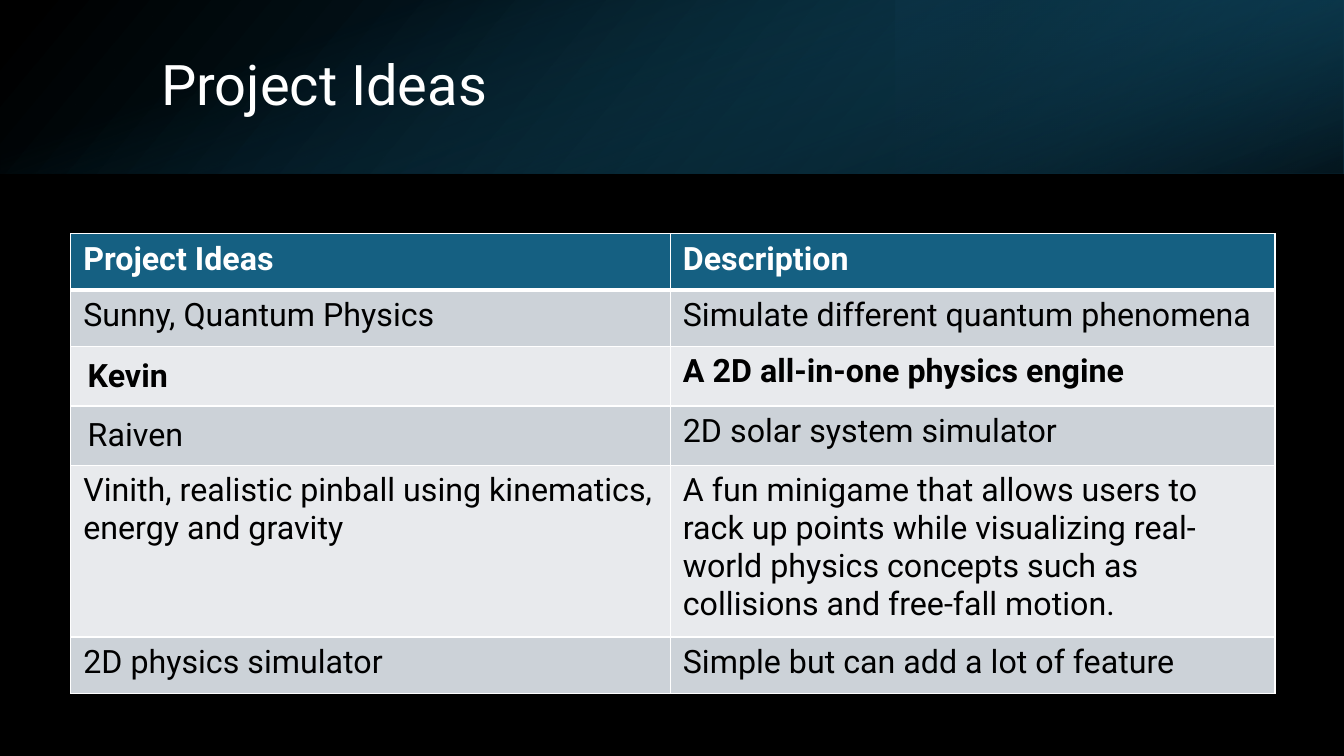
from lxml.etree import SubElement
from pptx import Presentation
from pptx.dml.color import RGBColor
from pptx.enum.shapes import MSO_SHAPE
from pptx.enum.text import MSO_ANCHOR, PP_ALIGN
from pptx.oxml import parse_xml
from pptx.oxml.ns import nsdecls, qn
from pptx.util import Cm, Pt

COLORS = {
    "black": "000000", "white": "FFFFFF", "header": "156082",
    "odd": "CCD2D8", "even": "E8EAED", "teal": "104862", "deep": "0B3041",
}
FONT = "Roboto"
W, H, BAND_H = 33.87, 19.05, 4.37

# left, top, width, height (cm), rotation, flipped, angle, stops (position %, colour, opacity %)
BANDS = [
    (0, 0, W, BAND_H, 0, True, 140, [(0, "black", 96), (100, "teal", 100)]),
    (W * 2 / 3, 0, W / 3, BAND_H, 180, True, 320, [(19, "deep", 68), (100, "header", 79)]),
    ((W - BAND_H) / 2, (BAND_H - W) / 2, BAND_H, W, 90, False, 340,
     [(23, "header", 0), (99, "black", 74)]),
]

TITLE = "Project Ideas"
ROWS = [
    ("Project Ideas", "Description"),
    ("Sunny, Quantum Physics", "Simulate different quantum phenomena"),
    ("Kevin", "A 2D all-in-one physics engine"),
    ("Raiven", "2D solar system simulator"),
    ("Vinith, realistic pinball using kinematics, energy and gravity",
     "A fun minigame that allows users to rack up points while visualizing "
     "real-world physics concepts such as collisions and free-fall motion."),
    ("2D physics simulator", "Simple but can add a lot of feature"),
]
COL_W = [15.11, 15.24]
ROW_H = [1.42, 1.42, 1.5, 1.5, 4.32, 1.42]
BOLD_ROWS = {0, 2}
CENTRED_CELLS = {(2, 0), (3, 0)}


def rgb(name):
    return RGBColor.from_string(COLORS[name])


def set_font(p, size, color, bold=False):
    p.font.name, p.font.size, p.font.bold = FONT, Pt(size), bold
    p.font.color.rgb = rgb(color)


def add_band(s, left, top, width, height, rotation, flipped, angle, stops):
    band = s.shapes.add_shape(MSO_SHAPE.RECTANGLE, Cm(left), Cm(top), Cm(width), Cm(height))
    band.shadow.inherit = False
    band.line.fill.background()
    band.rotation = rotation
    sp_pr = band.element.spPr
    if flipped:
        sp_pr.find(qn("a:xfrm")).set("flipH", "1")
    stop_xml = "".join(
        f'<a:gs pos="{pos * 1000}"><a:srgbClr val="{COLORS[color]}">'
        f'<a:alpha val="{opacity * 1000}"/></a:srgbClr></a:gs>'
        for pos, color, opacity in stops)
    sp_pr.find(qn("a:prstGeom")).addnext(parse_xml(
        f'<a:gradFill {nsdecls("a")} rotWithShape="1"><a:gsLst>{stop_xml}</a:gsLst>'
        f'<a:lin ang="{angle * 60000}" scaled="0"/></a:gradFill>'))


def add_borders(cell, widths):
    """Draw white borders; widths gives points for each side (L, R, T, B)."""
    tc_pr = cell._tc.get_or_add_tcPr()
    for side, width in zip("LRTB", widths):
        ln = SubElement(tc_pr, qn(f"a:ln{side}"), w=str(Pt(width)))
        fill = SubElement(ln, qn("a:solidFill"))
        SubElement(fill, qn("a:srgbClr"), val=COLORS["white"])


def fill_cell(cell, row, col, text):
    add_borders(cell, (1, 1, 3 if row == 1 else 1, 3 if row == 0 else 1))
    cell.fill.solid()
    cell.fill.fore_color.rgb = rgb("header" if row == 0 else "odd" if row % 2 else "even")
    centred = (row, col) in CENTRED_CELLS
    cell.vertical_anchor = MSO_ANCHOR.MIDDLE if centred else MSO_ANCHOR.TOP
    cell.margin_left = cell.margin_right = Cm(0.43 if centred else 0.32)
    cell.margin_top = cell.margin_bottom = Cm(0.21 if centred else 0.16)
    cell.text = text
    set_font(cell.text_frame.paragraphs[0], 23, "black" if row else "white", row in BOLD_ROWS)


def main():
    prs = Presentation()
    prs.slide_width, prs.slide_height = Cm(W), Cm(H)
    s = prs.slides.add_slide(prs.slide_layouts[5])
    s.background.fill.solid()
    s.background.fill.fore_color.rgb = rgb("black")

    for band in BANDS:
        add_band(s, *band)

    title = s.shapes.title
    title.element.getparent().append(title.element)  # in front of the bands
    title.left, title.top, title.width, title.height = Cm(3.81), Cm(0.97), Cm(27.89), Cm(2.44)
    tf = title.text_frame
    tf.text = TITLE
    tf.vertical_anchor = MSO_ANCHOR.MIDDLE
    p = tf.paragraphs[0]
    p.alignment, p.line_spacing = PP_ALIGN.LEFT, 0.9
    set_font(p, 40, "white")

    table = s.shapes.add_table(len(ROWS), len(COL_W), Cm(1.78), Cm(5.89),
                               Cm(sum(COL_W)), Cm(sum(ROW_H))).table
    for column, width in zip(table.columns, COL_W):
        column.width = Cm(width)
    for i, (texts, height) in enumerate(zip(ROWS, ROW_H)):
        table.rows[i].height = Cm(height)
        for j, text in enumerate(texts):
            fill_cell(table.cell(i, j), i, j, text)

    prs.save("out.pptx")


if __name__ == "__main__":
    main()
